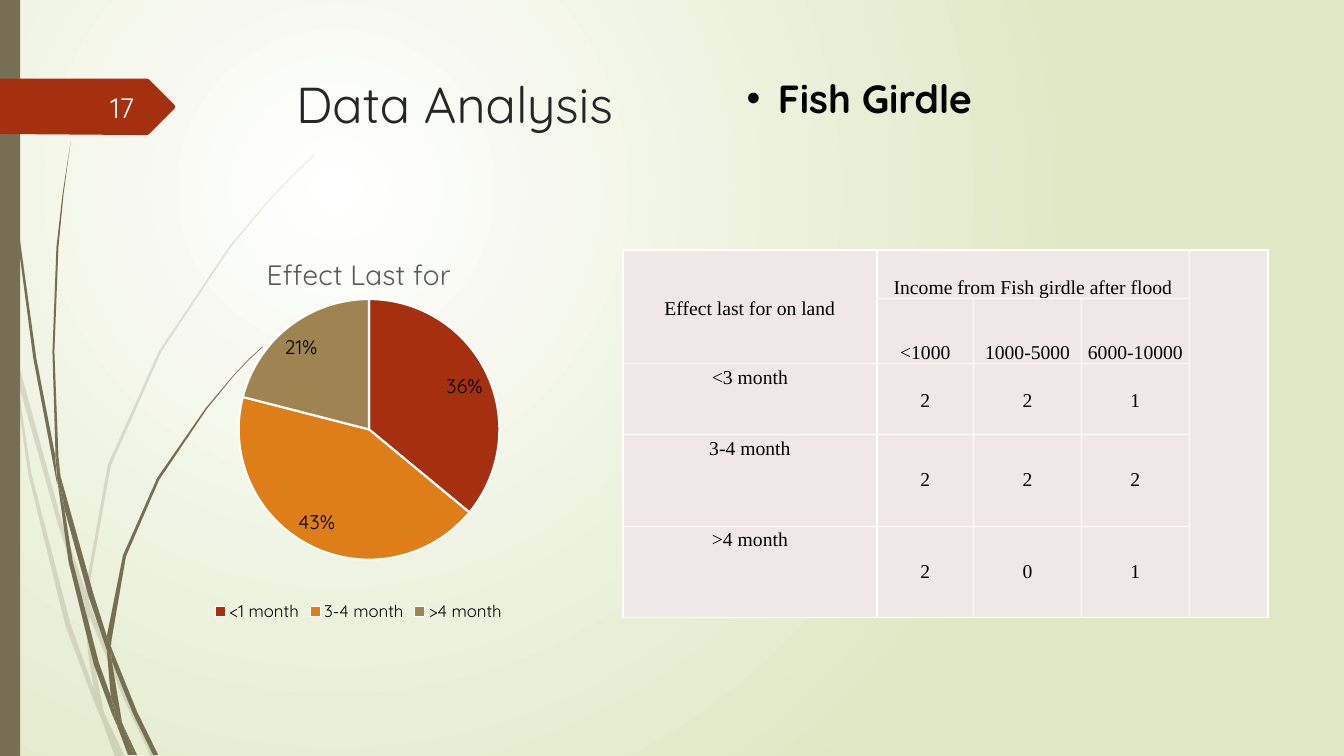
from lxml import etree
from pptx import Presentation
from pptx import util as u
from pptx.chart import data
from pptx.dml.color import RGBColor
from pptx.enum import chart as charts, shapes, text
from pptx.oxml import parse_xml
from pptx.oxml.ns import nsdecls, qn

PX = 9144  # 100 px to the inch
COLORS = {"white": "FFFFFF", "green": "DFE8C4", "olive": "766F54", "red": "A53010",
          "orange": "DE7E18", "tan": "9F8351", "cell": "F0E8E7", "black": "000000",
          "title": "262626", "gray": "595959", "number": "FEFFFF"}
COLORS = {name: RGBColor.from_string(value) for name, value in COLORS.items()}

deck = Presentation()
deck.slide_width, deck.slide_height = u.Emu(12192000), u.Emu(6858000)
page = deck.slides.add_slide(deck.slide_layouts[6])


def paint(shape, color, alpha=None):
    shape.shadow.inherit = False
    shape.fill.solid()
    shape.fill.fore_color.rgb = COLORS[color]
    shape.line.fill.background()
    if alpha:
        tint = shape.fill._xPr.find(".//" + qn("a:srgbClr"))
        etree.SubElement(tint, qn("a:alpha"), val=str(alpha * 1000))


def write(frame, words, size, color, font="Quicksand", bold=False):
    para = frame.paragraphs[0]
    span = para.add_run()
    span.text = words
    span.font.size, span.font.name, span.font.bold = u.Pt(size), font, bold
    span.font.color.rgb = COLORS[color]
    return para


# Background gradient
backdrop = page.background.fill
backdrop.gradient()
for stop, color in zip(backdrop.gradient_stops, ("white", "green")):
    stop.color.rgb = COLORS[color]
gradient = page._element.find(".//" + qn("a:gradFill"))
gradient.replace(gradient.find(qn("a:lin")), parse_xml(
    f'<a:path {nsdecls("a")} path="circle">'
    '<a:fillToRect l="50000" t="50000" r="100000" b="100000"/></a:path>'))

# Grass: pale blades behind, dark blades in front, then the page-number tag
PALE = [
    [(11, 350), (9, 322), (0, 282), (0, 299), (10, 344)],
    [(58, 522), (84, 599), (85, 586), (62, 520), (14, 345), (17, 376)],
    [(92, 607), (88, 596), (88, 610), (123, 694), (150, 751), (155, 751), (127, 692)],
    [(119, 751), (124, 751), (105, 711)],
    [(93, 683), (70, 619), (31, 469), (17, 376), (11, 350), (28, 470), (65, 621),
     (92, 693), (101, 714), (99, 707)],
    [(84, 599), (87, 646), (93, 683), (96, 692), (105, 711), (103, 706), (91, 646),
     (88, 610), (88, 608)],
    [(88, 584), (110, 462), (160, 349), (229, 245), (268, 198), (290, 175), (312, 154),
     (312, 153), (289, 175), (268, 197), (228, 244), (158, 348), (107, 461), (85, 584),
     (85, 586), (88, 596)],
    [(101, 714), (114, 751), (119, 751)],
    [(88, 608), (88, 610), (88, 596), (85, 586), (84, 599)],
    [(96, 692), (93, 683), (99, 707), (101, 714), (119, 751), (105, 711)],
]
DARK = [
    [(7, 110), (17, 233), (33, 355), (56, 477), (57, 481), (55, 457), (55, 453),
     (36, 355), (19, 232), (8, 109), (5, 48), (4, 0), (3, 0), (4, 48)],
    [(88, 592), (106, 645), (106, 633), (106, 631), (93, 590), (60, 472), (64, 505)],
    [(113, 649), (110, 641), (111, 656), (132, 708), (152, 749), (157, 749), (136, 706)],
    [(110, 691), (98, 657), (72, 556), (64, 505), (57, 477), (68, 557), (93, 659),
     (111, 708), (117, 722), (116, 717)],
    [(60, 472), (58, 453), (54, 349), (58, 245), (63, 193), (70, 141), (62, 193),
     (56, 245), (52, 349), (55, 449)],
    [(133, 749), (136, 749), (122, 719)],
    [(57, 477), (64, 505), (60, 472), (55, 449), (55, 453)],
    [(111, 633), (125, 552), (158, 476), (205, 406), (231, 374), (245, 359), (261, 344),
     (260, 344), (245, 358), (231, 373), (204, 405), (156, 474), (122, 551), (106, 631),
     (110, 641)],
    [(117, 722), (127, 749), (131, 749)],
    [(106, 645), (110, 691), (116, 706), (122, 719), (121, 716), (111, 656), (109, 651)],
    [(106, 645), (109, 651), (111, 656), (110, 641), (106, 631), (106, 633)],
    [(116, 706), (110, 691), (116, 717), (117, 722), (130, 749), (133, 749), (122, 719)],
]
TAG = [(173, 108), (148, 133), (146, 134), (136, 134), (0, 133), (0, 78), (136, 78),
       (146, 78), (148, 79), (173, 104), (174, 106)]
for outlines, color, alpha in ((PALE, "olive", 20), (DARK, "olive", None),
                               ([TAG], "red", None)):
    if color == "red":
        bar = page.shapes.add_shape(shapes.MSO_SHAPE.RECTANGLE, 0, 0,
                                    u.Emu(20 * PX), deck.slide_height)
        paint(bar, "olive")
    for outline in outlines:
        builder = page.shapes.build_freeform(*outline[0], scale=PX)
        builder.add_line_segments(outline[1:], close=True)
        paint(builder.convert_to_shape(), color, alpha)

# Title
box = page.shapes.add_textbox(*(u.Emu(v * PX) for v in (284, 68, 975, 140)))
box.text_frame.word_wrap = True
write(box.text_frame, "Data Analysis", 36, "title")

# Pie chart
shares = data.CategoryChartData()
shares.categories = ["<1 month", "3-4 month", ">4 month"]
shares.add_series("Series 1", (36, 43, 21))
pie = page.shapes.add_chart(charts.XL_CHART_TYPE.PIE,
                            *(u.Emu(v * PX) for v in (102, 235, 508, 386)), shares).chart
pie.font.size, pie.font.name = u.Pt(10), "Quicksand"
pie.font.color.rgb = COLORS["black"]
pie.has_title = True
write(pie.chart_title.text_frame, "Effect Last for", 20, "gray")
pie.has_legend = True
pie.legend.position = charts.XL_LEGEND_POSITION.BOTTOM
pie.legend.include_in_layout = False
pie.legend.font.size, pie.legend.font.name = u.Pt(12), "Quicksand"
pie.legend.font.color.rgb = COLORS["black"]
plot = pie.plots[0]
plot.vary_by_categories = True
for index, color in enumerate(("red", "orange", "tan")):
    point = plot.series[0].points[index].format
    point.fill.solid()
    point.fill.fore_color.rgb = COLORS[color]
    point.line.color.rgb = COLORS["white"]
    point.line.width = u.Pt(1.5)
plot.has_data_labels = True
labels = plot.data_labels
labels.show_percentage, labels.show_value = True, False
labels.number_format, labels.number_format_is_linked = "0%", False
labels.position = charts.XL_LABEL_POSITION.BEST_FIT
labels.font.size, labels.font.name = u.Pt(14), "Quicksand"
labels.font.color.rgb = COLORS["black"]

# Manual places of the plot area and the chart title
area = pie._chartSpace.find(".//" + qn("c:plotArea"))
heading = pie.chart_title._element
for holder, values in ((area, {"x": 0.26, "y": 0.16, "w": 0.52, "h": 0.67}),
                       (heading, {"x": 0.31, "y": 0.03})):
    for old in holder.findall(qn("c:layout")):
        holder.remove(old)
    target = '<c:layoutTarget val="inner"/>' if holder is area else ""
    sizes = "".join(f'<c:{key} val="{value}"/>' for key, value in values.items())
    layout = parse_xml(f'<c:layout {nsdecls("c")}><c:manualLayout>{target}'
                       '<c:xMode val="edge"/><c:yMode val="edge"/>'
                       f'{sizes}</c:manualLayout></c:layout>')
    holder.insert(0 if holder is area else 1, layout)

# Income table
COLUMNS = [252, 96, 107, 107, 78]
ROWS = [48, 65, 70, 91, 91]
WORDS = [["Effect last for on land", "Income from Fish girdle after flood", "", "", ""],
         ["", "<1000", "1000-5000", "6000-10000", ""],
         ["<3 month", "2", "2", "1", ""],
         ["3-4 month", "2", "2", "2", ""],
         [">4 month", "2", "0", "1", ""]]
grid = page.shapes.add_table(5, 5, *(u.Emu(v * PX) for v in
                                     (618, 248, sum(COLUMNS), sum(ROWS)))).table
grid.first_row = grid.horz_banding = False
for column, width in zip(grid.columns, COLUMNS):
    column.width = u.Emu(width * PX)
for row, height in zip(grid.rows, ROWS):
    row.height = u.Emu(height * PX)
for r, line in enumerate(WORDS):
    for c, words in enumerate(line):
        cell = grid.cell(r, c)
        cell.margin_left = cell.margin_right = cell.margin_top = cell.margin_bottom = 0
        cell.vertical_anchor = (text.MSO_ANCHOR.MIDDLE if (r, c) == (0, 0) or (r > 1 and c)
                                else text.MSO_ANCHOR.BOTTOM if r < 2 else text.MSO_ANCHOR.TOP)
        if words:
            para = write(cell.text_frame, words, 14, "black", "Times New Roman")
            para.alignment = text.PP_ALIGN.CENTER
            if r < 3 or c == 0:
                para.line_spacing = 1.15
        borders = cell._tc.get_or_add_tcPr()
        for side in ("lnL", "lnR", "lnT", "lnB"):
            borders.append(parse_xml(
                f'<a:{side} {nsdecls("a")} w="12700"><a:solidFill>'
                f'<a:srgbClr val="{COLORS["white"]}"/></a:solidFill></a:{side}>'))
        cell.fill.solid()
        cell.fill.fore_color.rgb = COLORS["cell"]
for first, last in (((0, 0), (1, 0)), ((0, 1), (0, 3)), ((0, 4), (4, 4))):
    grid.cell(*first).merge(grid.cell(*last))

# Page number
box = page.shapes.add_textbox(*(u.Emu(v * PX) for v in (58, 86, 85, 40)))
box.text_frame.vertical_anchor = text.MSO_ANCHOR.MIDDLE
box.text_frame.word_wrap = True
write(box.text_frame, "17", 20, "number").alignment = text.PP_ALIGN.RIGHT

# Bullet heading
box = page.shapes.add_textbox(*(u.Emu(v * PX) for v in (731, 69, 386, 57)))
box.text_frame.word_wrap = True
bullet = write(box.text_frame, "Fish Girdle", 28, "black", bold=True)._p.get_or_add_pPr()
bullet.set("marL", str(31 * PX))
bullet.set("indent", str(-31 * PX))
etree.SubElement(bullet, qn("a:buFont"), typeface="Arial")
etree.SubElement(bullet, qn("a:buChar"), char="•")

deck.save("out.pptx")
